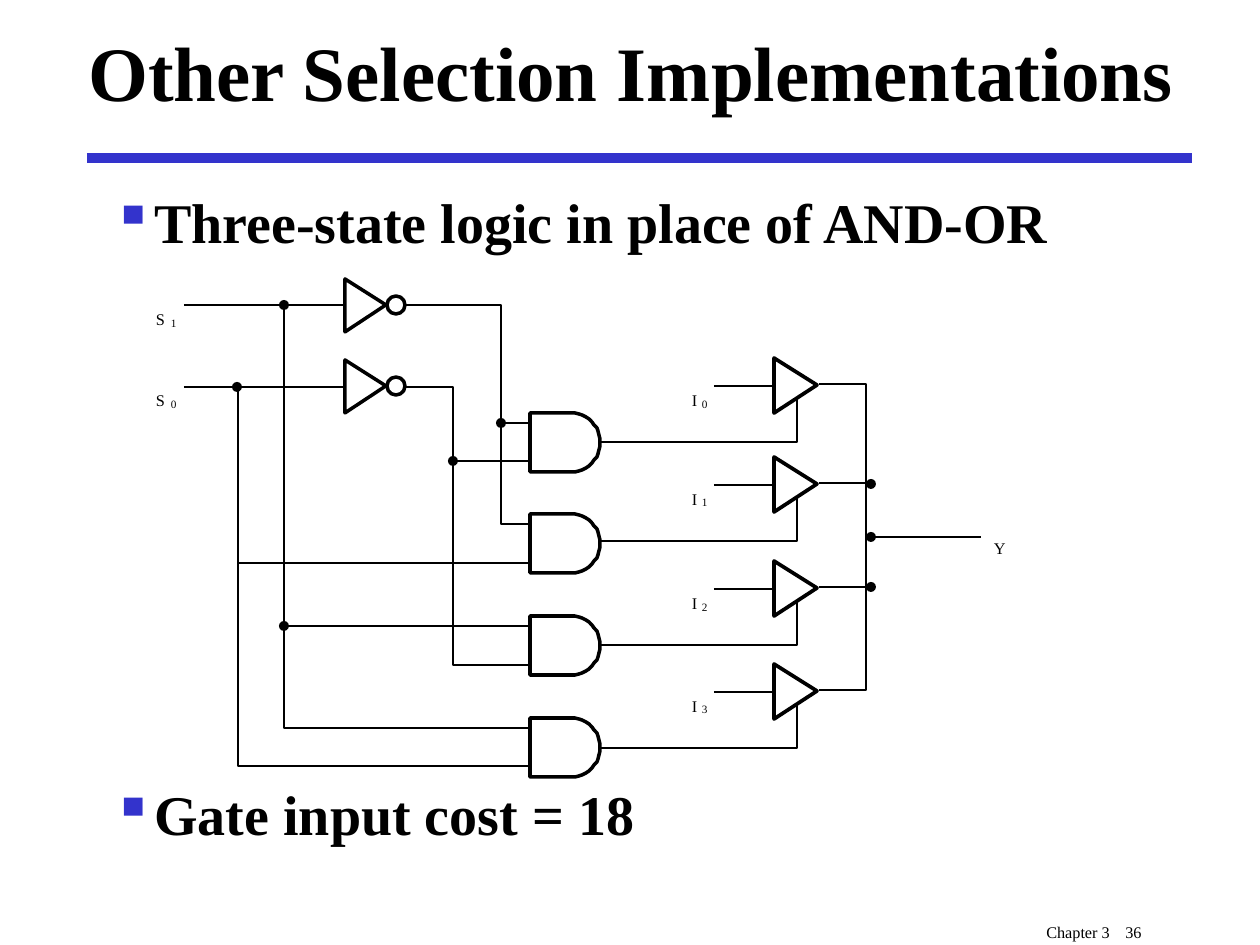
from math import cos, pi, sin
from lxml.etree import SubElement
from pptx import Presentation
from pptx.dml.color import RGBColor
from pptx.enum.shapes import MSO_CONNECTOR as CONNECTOR, MSO_SHAPE as SHAPE
from pptx.enum.text import MSO_ANCHOR as ANCHOR
from pptx.oxml.ns import qn
from pptx.util import Emu, Pt

PX = 914400 // 126
FONT = "Times New Roman"
COLORS = {"ink": "000000", "accent": "3333CC", "paper": "FFFFFF"}
WIRE, GATE, BUFFER, THIN = 1.13, 2, 2.13, 0.75

# Content
TITLE = "Other Selection Implementations"
BULLETS = [("Three-state logic in place of AND-OR", 3), ("Gate input cost = 18", 300)]
FOOTER = "Chapter 3\t36"
# Select lines: digit, inverter top
SELECTS = [("1", 279), ("0", 360)]
# Data rows: digit, AND gate top, buffer top
ROWS = [("0", 413, 358), ("1", 514, 457), ("2", 616, 561), ("3", 718, 664)]
SELECT_PATHS = [
    [(184, 305), (501, 305), (501, 524), (556, 524)],
    [(184, 387), (453, 387), (453, 665), (556, 665)],
    [(284, 305), (284, 728), (561, 728)],
    [(238, 387), (238, 766), (560, 766)],
]
TAPS = [(453, 461), (501, 423), (238, 563), (284, 626)]
JUNCTIONS = [(284, 305), (237, 387), (284, 626), (453, 461), (501, 423),
             (871, 484), (871, 587), (871, 537)]
BUS = [(819, 384), (866, 384), (866, 690), (819, 690)]
OUTPUT_Y = 537

prs = Presentation()
prs.slide_width, prs.slide_height = Emu(1260 * PX), Emu(945 * PX)
slide = prs.slides.add_slide(prs.slide_layouts[6])
shapes = slide.shapes


def color(name):
    return RGBColor.from_string(COLORS[name])


def px(*values):
    return [Emu(round(v * PX)) for v in values]


def paint(shape, fill, width):
    shape.shadow.inherit = False
    if fill:
        shape.fill.solid()
        shape.fill.fore_color.rgb = color(fill)
    else:
        shape.fill.background()
    if width:
        shape.line.color.rgb = color("ink")
        shape.line.width = Pt(width)
    else:
        shape.line.fill.background()


def outline(points, fill=None, width=WIRE, close=False):
    builder = shapes.build_freeform(*points[0], scale=PX)
    builder.add_line_segments(points[1:], close=close)
    paint(builder.convert_to_shape(), fill, width)


def circle(x, y, size, fill, width=None):
    paint(shapes.add_shape(SHAPE.OVAL, *px(x, y, size, size)), fill, width)


def line(x1, y1, x2, y2, width=WIRE, tone="ink"):
    connector = shapes.add_connector(CONNECTOR.STRAIGHT, *px(x1, y1, x2, y2))
    connector.line.color.rgb = color(tone)
    connector.line.width = Pt(width)
    SubElement(connector._element.spPr, qn("a:effectLst"))


def triangle(x, y, w, h, tip, width):
    outline([(x, y), (x, y + h), (x + w, y + tip)], "paper", width, True)


def and_gate(x, y):
    radius, straight = 29.5, 41
    arc = [(x + straight + radius * sin(a), y + radius - radius * cos(a))
           for a in (pi * i / 24 for i in range(25))]
    outline([(x, y), *arc, (x, y + 2 * radius)], "paper", GATE, True)


def style(paragraph, size, bold=False):
    font = paragraph.font
    font.name, font.size, font.bold = FONT, Pt(size), bold
    font.color.rgb = color("ink")


def text_frame(x, y, w, h, inset=True, wrap=True):
    frame = shapes.add_textbox(*px(x, y, w, h)).text_frame
    frame.word_wrap = wrap
    if not inset:
        frame.margin_left = frame.margin_right = frame.margin_top = frame.margin_bottom = 0
    return frame


def lowered(frame, text, size):
    paragraph = frame.paragraphs[0]
    paragraph.text = text
    style(paragraph, size)
    paragraph.runs[0]._r.get_or_add_rPr().set("baseline", "-25000")
    return paragraph


def label(x, y, letter, digit=None):
    lowered(text_frame(x, y, 15, 34, False, False), letter, 16)
    if digit:
        x += 15 if letter == "S" else 10
        lowered(text_frame(x, y + 12, 10, 23, False, False), digit, 11)


# Heading, rule and footer
line(87, 158, 1192, 158, 6, "accent")
title = text_frame(76, 0, 1134, 141)
title.vertical_anchor = ANCHOR.MIDDLE
title.text = TITLE
style(title.paragraphs[0], 44, True)
footer = lowered(text_frame(1034, 897, 224, 48), FOOTER, 16)
tabs = SubElement(footer._p.get_or_add_pPr(), qn("a:tabLst"))
SubElement(tabs, qn("a:tab"), pos=str(79 * PX), algn="l")

# Bullets
body = text_frame(100, 181, 1071, 693)
for i, (text, before) in enumerate(BULLETS):
    paragraph = body.add_paragraph() if i else body.paragraphs[0]
    paragraph.text = text
    paragraph.space_before = Pt(before)
    style(paragraph, 32, True)
    props = paragraph._p.get_or_add_pPr()
    props.set("marL", str(40 * PX))
    props.set("indent", str(-40 * PX))
    SubElement(SubElement(props, qn("a:buClr")), qn("a:srgbClr"), val=COLORS["accent"])
    SubElement(props, qn("a:buChar"), char="▪")

# Select wiring
for path in SELECT_PATHS:
    outline(path)
for x, y in TAPS:
    line(x, y, 554, y)

# Inverters
for digit, top in SELECTS:
    triangle(345, top, 41, 53, 26, GATE)
    circle(387, top + 17, 18, "paper", GATE)
    label(156, top + 12, "S", digit)

# AND gates driving the three-state buffers
for digit, gate_top, top in ROWS:
    outline([(595, top + 84), (797, top + 84), (797, top + 40)], "paper")
    line(714, top + 28, 784, top + 28)
    and_gate(530, gate_top)
    triangle(774, top, 43, 55, 27, BUFFER)
    label(692, top + 14, "I", digit)

# Output bus
outline(BUS, width=THIN)
for _, _, top in ROWS[1:3]:
    line(819, top + 26, 866, top + 26, THIN)
line(874, OUTPUT_Y, 981, OUTPUT_Y, THIN)
label(994, 520, "Y")
for x, y in JUNCTIONS:
    circle(x - 5, y - 5, 10, "ink")

prs.save("out.pptx")
